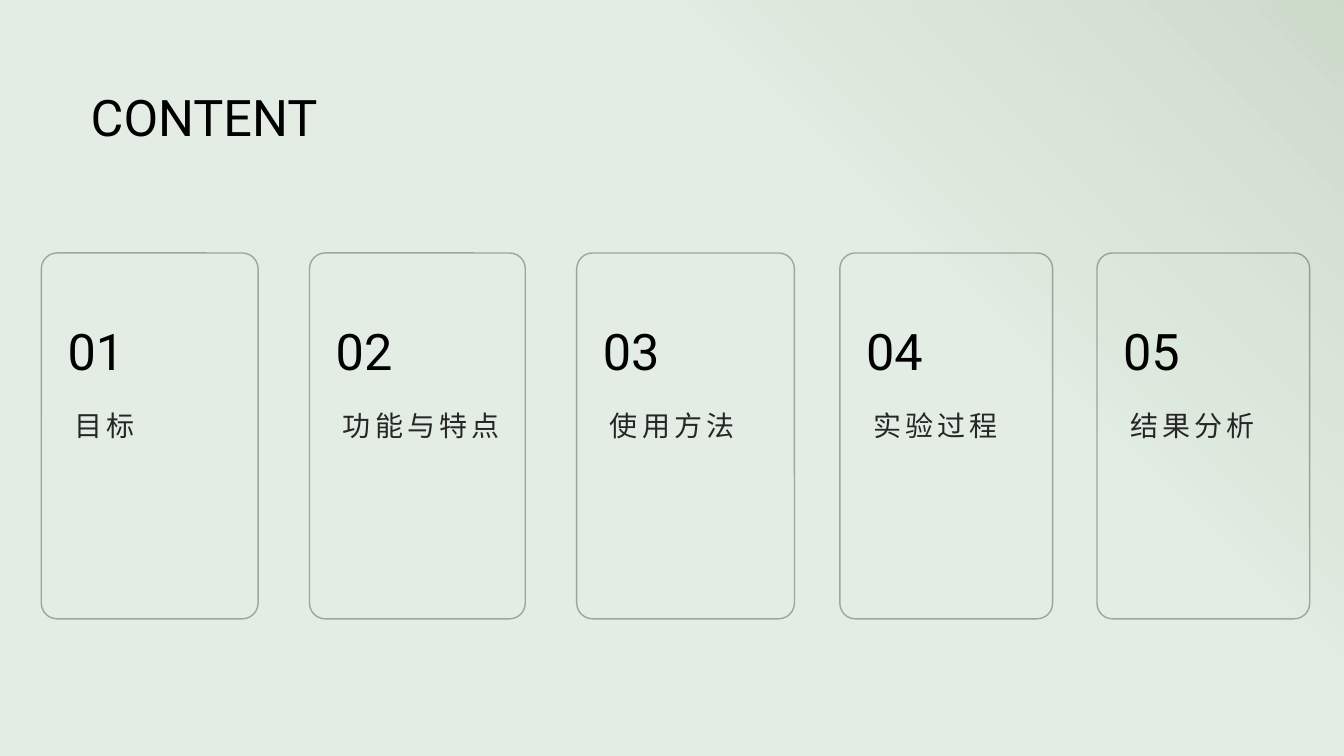
import pptx
import pptx.util
import pptx.dml.color
import pptx.enum.shapes
import pptx.enum.text
import pptx.oxml

PX = 9144  # EMU per px, 100 px to the inch
BLACK = pptx.dml.color.RGBColor(0x00, 0x00, 0x00)
CHARCOAL = pptx.dml.color.RGBColor(0x26, 0x26, 0x26)
PALE_GREEN = pptx.dml.color.RGBColor(0xE3, 0xED, 0xE4)
MOSS = pptx.dml.color.RGBColor(0x3F, 0x61, 0x28)
LEAF = pptx.dml.color.RGBColor(0x54, 0x82, 0x35)
SHAPES = pptx.enum.shapes.MSO_SHAPE
MIDDLE = pptx.enum.text.MSO_ANCHOR.MIDDLE
TOP = pptx.enum.text.MSO_ANCHOR.TOP


def px(*lengths):
    return [pptx.util.Emu(length * PX) for length in lengths]


def write(box, text, size, color, anchor):
    """Fill a box with one left-aligned run, without insets."""
    frame = box.text_frame
    frame.word_wrap = True
    frame.auto_size = pptx.enum.text.MSO_AUTO_SIZE.NONE
    frame.vertical_anchor = anchor
    frame.margin_left = frame.margin_right = 0
    frame.margin_top = frame.margin_bottom = 0
    para = frame.paragraphs[0]
    para.alignment = pptx.enum.text.PP_ALIGN.LEFT
    span = para.add_run()
    span.text = text
    span.font.name = "Roboto"
    span.font.size = pptx.util.Pt(size)
    span.font.color.rgb = color


deck = pptx.Presentation()
deck.slide_width, deck.slide_height = px(1333, 750)
page = deck.slides.add_slide(deck.slide_layouts.get_by_name("Title Only"))
page.background.fill.solid()
page.background.fill.fore_color.rgb = PALE_GREEN

title = page.shapes.title
title.left, title.top, title.width, title.height = px(90, 80, 1121, 71)
write(title, "CONTENT", 36, BLACK, MIDDLE)

# Soft glow spreading from the top right corner, behind the title
glow = page.shapes.add_shape(SHAPES.RECTANGLE, *px(621, 0, 712, 750))
glow.shadow.inherit = False
glow.line.fill.background()
glow.fill.background()
gradient = pptx.oxml.parse_xml(
    '<a:gradFill xmlns:a="http://schemas.openxmlformats.org/drawingml/2006/main">'
    f'<a:gsLst><a:gs pos="0"><a:srgbClr val="{MOSS}"><a:alpha val="13000"/></a:srgbClr></a:gs>'
    f'<a:gs pos="47000"><a:srgbClr val="{LEAF}"><a:alpha val="0"/></a:srgbClr></a:gs></a:gsLst>'
    '<a:path path="circle"><a:fillToRect l="100000" b="100000"/></a:path></a:gradFill>'
)
no_fill = glow.element.xpath("./p:spPr/a:noFill")[0]
no_fill.getparent().replace(no_fill, gradient)
title.element.addprevious(glow.element)

# Left edge, width and topic of each card
cards = [
    (41, 215, "目标"),
    (307, 214, "功能与特点"),
    (572, 216, "使用方法"),
    (833, 211, "实验过程"),
    (1088, 211, "结果分析"),
]
for number, (left, width, topic) in enumerate(cards, start=1):
    card = page.shapes.add_shape(SHAPES.ROUNDED_RECTANGLE, *px(left, 251, width, 363))
    card.adjustments[0] = 0.073
    card.shadow.inherit = False
    card.fill.background()
    card.line.color.rgb = BLACK
    card.line.width = pptx.util.Pt(1)
    line_color = card.element.xpath("./p:spPr/a:ln/a:solidFill/a:srgbClr")[0]
    line_color.append(pptx.oxml.parse_xml(
        '<a:alpha xmlns:a="http://schemas.openxmlformats.org/drawingml/2006/main" val="30000"/>'
    ))

    number_box = page.shapes.add_textbox(*px(left + 26, 310, 212, 76))
    write(number_box, f"{number:02}", 36, BLACK, MIDDLE)

    topic_box = page.shapes.add_textbox(*px(left + 33, 405, 178, 189))
    write(topic_box, topic, 20, CHARCOAL, TOP)
    topic_box.element.xpath(".//a:rPr")[0].set("spc", "300")

deck.save("out.pptx")
